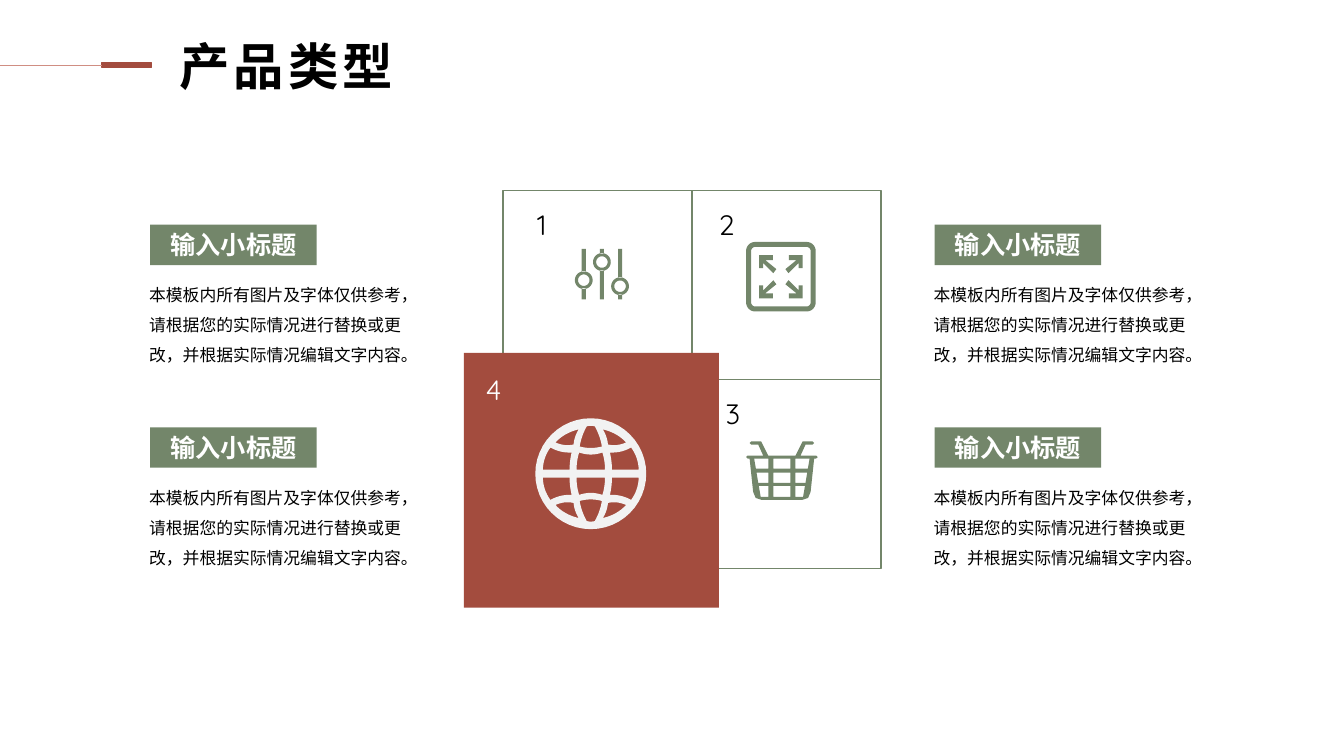
import math

import pptx
import pptx.dml.color
import pptx.enum.shapes
import pptx.enum.text
import pptx.oxml.ns
import pptx.util
from lxml import etree

# Content
TITLE = "产品类型"
HEADING = "输入小标题"
BODY = "本模板内所有图片及字体仅供参考，请根据您的实际情况进行替换或更改，并根据实际情况编辑文字内容。"
CARDS = [(HEADING, BODY)] * 4
NUMBERS = [
    ("1", 5.23, 2.01, "black"),
    ("2", 7.03, 2.01, "black"),
    ("3", 7.1, 3.88, "black"),
    ("4", 4.72, 3.65, "white"),
]
COLORS = {
    "green": "73866A", "red": "A34C3E", "rose": "D08E83",
    "pale": "F2F2F2", "black": "000000", "white": "FFFFFF",
}
FONT = "Quicksand"
GRID_LEFT, GRID_TOP, TILE = 4.99, 1.89, 1.875
CARD_LEFTS, CARD_TOPS = (1.49, 9.27), (2.23, 4.24)

# Icon measures
SLIDERS = [(5.79, 2.78), (5.97, 2.6), (6.15, 2.84)]
EXPAND_CENTER = (7.745, 2.745)
ARROW = [(.215, .215), (.08, .215), (.08, .165), (.155, .165), (.045, .075),
         (.075, .035), (.175, .135), (.175, .085), (.215, .085)]
GLOBE_CENTER = (5.86, 4.7)
# Globe openings: corners alternate with the midpoints of the curved edges
GLOBE_MIDDLE = [
    [(-.14, -.04), (-.135, -.125), (-.115, -.21), (0, -.19),
     (.115, -.21), (.135, -.125), (.14, -.04), (0, -.04)],
    [(-.04, -.47), (0, -.475), (.04, -.47), (.085, -.37),
     (.11, -.27), (0, -.255), (-.11, -.27), (-.085, -.37)],
]
GLOBE_SIDE = [
    [(.35, -.31), (.26, -.285), (.17, -.29), (.155, -.365),
     (.12, -.44), (.25, -.39)],
    [(.4, -.26), (.3, -.22), (.19, -.21), (.205, -.125),
     (.21, -.04), (.345, -.04), (.475, -.04), (.455, -.155)],
]
BASKET_X = 7.755
BASKET_EDGE = [(.135, 4.52), (.205, 4.38), (.305, 4.38), (.32, 4.395),
               (.305, 4.41), (.235, 4.41), (.185, 4.52), (.34, 4.52),
               (.355, 4.535), (.34, 4.55), (.32, 4.55), (.285, 4.88),
               (.26, 4.94), (.2, 4.96)]
BASKET_ROWS = [(4.55, 4.65), (4.69, 4.79), (4.82, 4.93)]

Inches, Pt = pptx.util.Inches, pptx.util.Pt
MSO_SHAPE = pptx.enum.shapes.MSO_SHAPE
PP_ALIGN = pptx.enum.text.PP_ALIGN

prs = pptx.Presentation()
prs.slide_width, prs.slide_height = Inches(13.33), Inches(7.5)
s = prs.slides.add_slide(prs.slide_layouts[6])


def rgb(name):
    return pptx.dml.color.RGBColor.from_string(COLORS[name])


def paint(sp, fill=None, line=None):
    sp.shadow.inherit = False
    if fill:
        sp.fill.solid()
        sp.fill.fore_color.rgb = rgb(fill)
    else:
        sp.fill.background()
    if line:
        sp.line.color.rgb = rgb(line)
        sp.line.width = Pt(1)
    else:
        sp.line.fill.background()


def add_box(x, y, w, h, fill=None, line=None, kind=MSO_SHAPE.RECTANGLE):
    sp = s.shapes.add_shape(kind, Inches(x), Inches(y), Inches(w), Inches(h))
    paint(sp, fill, line)
    return sp


def write(sp, text, size, color, bold=False, wrap=True):
    tf = sp.text_frame
    tf.word_wrap = wrap
    tf.text = text
    p = tf.paragraphs[0]
    f = p.runs[0].font
    f.name, f.size, f.bold = FONT, Pt(size), bold
    f.color.rgb = rgb(color)
    return p


def add_text(x, y, w, h, *args, **kwargs):
    sp = s.shapes.add_textbox(Inches(x), Inches(y), Inches(w), Inches(h))
    return sp, write(sp, *args, **kwargs)


def arc(cx, cy, r, start=0, sweep=360, steps=48):
    angles = [math.radians(start + sweep * i / steps) for i in range(steps + 1)]
    return [(cx + r * math.cos(a), cy + r * math.sin(a)) for a in angles]


def block(x0, y0, x1, y1):
    return [(x0, y0), (x1, y0), (x1, y1), (x0, y1)]


def rounded_square(cx, cy, half, r):
    d = half - r
    corners = [(d, d), (-d, d), (-d, -d), (d, -d)]
    return [pt for i, (dx, dy) in enumerate(corners)
            for pt in arc(cx + dx, cy + dy, r, 90 * i, 90, 8)]


def bowed(pts, steps=8):
    out = []
    for i in range(0, len(pts), 2):
        a, m, b = pts[i], pts[i + 1], pts[(i + 2) % len(pts)]
        for t in (k / steps for k in range(steps)):
            wa, wm, wb = (1 - t) * (1 - 2 * t), 4 * t * (1 - t), t * (2 * t - 1)
            out.append(tuple(wa * a[j] + wm * m[j] + wb * b[j] for j in (0, 1)))
    return out


def place(pts, center, sx=1, sy=1):
    return [(center[0] + sx * x, center[1] + sy * y) for x, y in pts]


def add_icon(contours, fill):
    loops = [[(Inches(x), Inches(y)) for x, y in c] for c in contours]
    fb = s.shapes.build_freeform(*loops[0][0])
    for i, loop in enumerate(loops):
        if i:
            fb.move_to(*loop[0])
        fb.add_line_segments(loop[1:], close=True)
    paint(fb.convert_to_shape(), fill)


# Tiles
for col, row in [(0, 0), (1, 1), (1, 0)]:
    add_box(GRID_LEFT + col * TILE, GRID_TOP + row * TILE, TILE, TILE, line="green")
add_box(4.6, 3.5, 2.53, 2.53, fill="red")

# Icons
sliders = []
for x, y in SLIDERS:
    sliders += [block(x - .02, 2.47, x + .02, y - .08),
                block(x - .02, y + .08, x + .02, 2.97),
                arc(x, y, .088), arc(x, y, .057)]
add_icon(sliders, "green")

mirrors = [(sx, sy) for sx in (-1, 1) for sy in (-1, 1)]
expand = [rounded_square(*EXPAND_CENTER, .345, .09),
          rounded_square(*EXPAND_CENTER, .295, .04)]
expand += [place(ARROW, EXPAND_CENTER, *m) for m in mirrors]
add_icon(expand, "green")

globe = [arc(*GLOBE_CENTER, .55)]
globe += [place(bowed(g), GLOBE_CENTER, 1, sy) for g in GLOBE_MIDDLE for sy in (-1, 1)]
globe += [place(bowed(g), GLOBE_CENTER, *m) for g in GLOBE_SIDE for m in mirrors]
add_icon(globe, "pale")

basket = [place(BASKET_EDGE, (BASKET_X, 0))
          + place(BASKET_EDGE[::-1], (BASKET_X, 0), -1)]
for y0, y1 in BASKET_ROWS:
    outer0, outer1 = (.275 - .17 * (y - 4.55) for y in (y0, y1))
    cell = [(.135, y0), (outer0, y0), (outer1, y1), (.135, y1)]
    basket += [place(cell, (BASKET_X, 0), sx) for sx in (-1, 1)]
    basket.append(block(BASKET_X - .085, y0, BASKET_X + .085, y1))
add_icon(basket, "green")

# Tile numbers
for number, x, y, color in NUMBERS:
    add_text(x, y, .36, .44, number, 20, color, wrap=False)

# Heading and text cards
spots = [(x, y) for x in CARD_LEFTS for y in CARD_TOPS]
for (heading, body), (x, y) in zip(CARDS, spots):
    sp, p = add_text(x - .08, y + .465, 2.73, .94, body, 12, "black")
    tf = sp.text_frame
    tf.margin_left = tf.margin_right = Inches(.07)
    tf.margin_top = tf.margin_bottom = Inches(.03)
    p.line_spacing = 1.5
    sp = add_box(x, y, 1.65, .4, fill="green", kind=MSO_SHAPE.ROUNDED_RECTANGLE)
    sp.adjustments[0] = 0
    write(sp, heading, 18, "white", bold=True).alignment = PP_ALIGN.CENTER
    sp.text_frame.vertical_anchor = pptx.enum.text.MSO_ANCHOR.MIDDLE

# Title with its rule
bar = add_box(1.01, .62, .49, .05, fill="red", line="red")
rule = s.shapes.add_connector(pptx.enum.shapes.MSO_CONNECTOR.STRAIGHT,
                              Inches(0), Inches(.645), Inches(1.01), Inches(.645))
rule.end_connect(bar, 1)
rule.line.color.rgb = rgb("rose")
rule.line.width = Pt(.5)
etree.SubElement(rule.line._get_or_add_ln().getparent(), pptx.oxml.ns.qn("a:effectLst"))
sp, p = add_text(1.68, .3, 2.45, .71, TITLE, 36, "black", bold=True, wrap=False)
p.runs[0].font._element.set("spc", "300")

prs.save("out.pptx")
